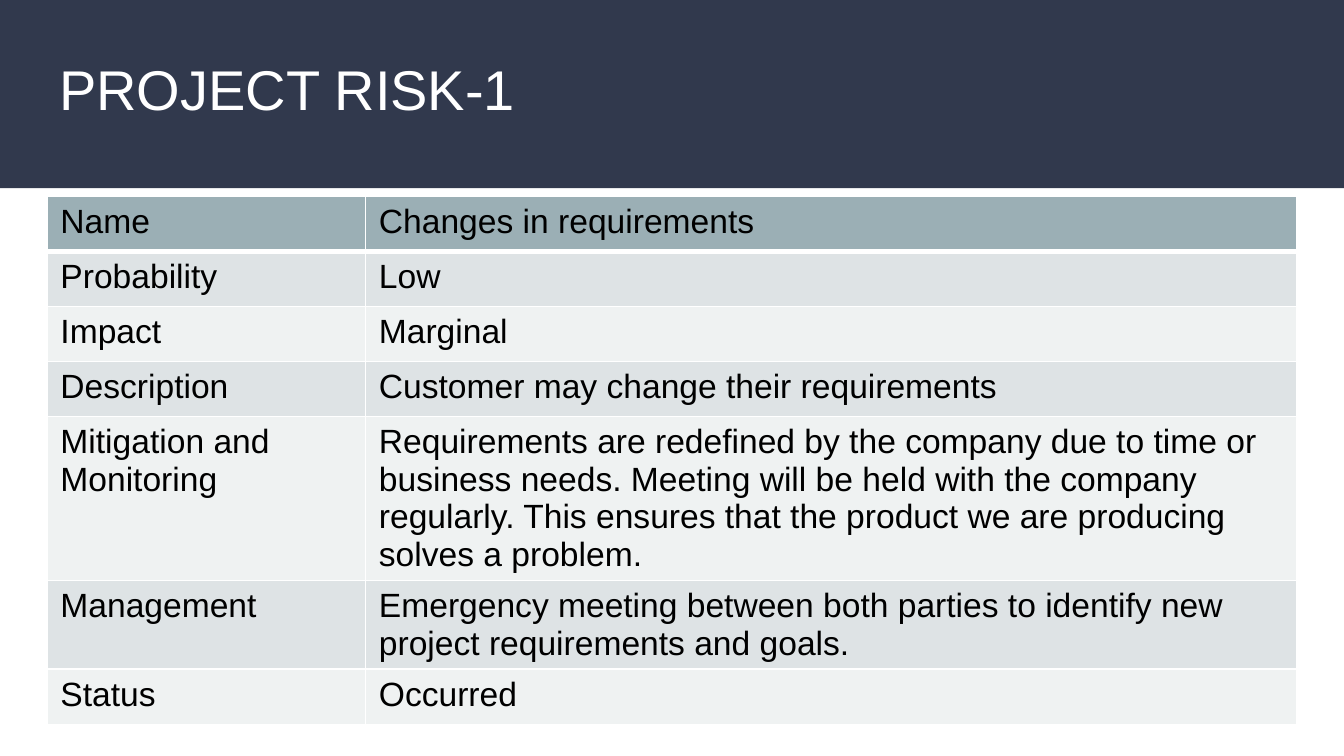
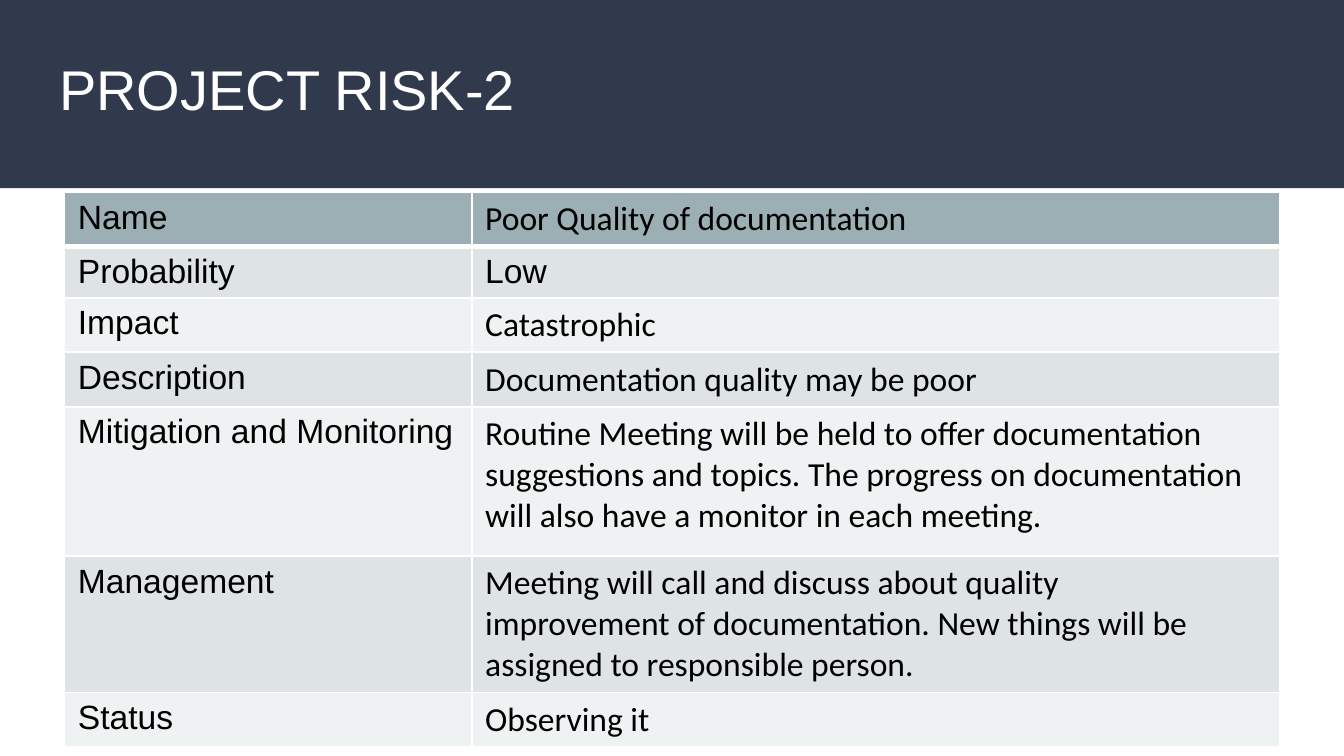
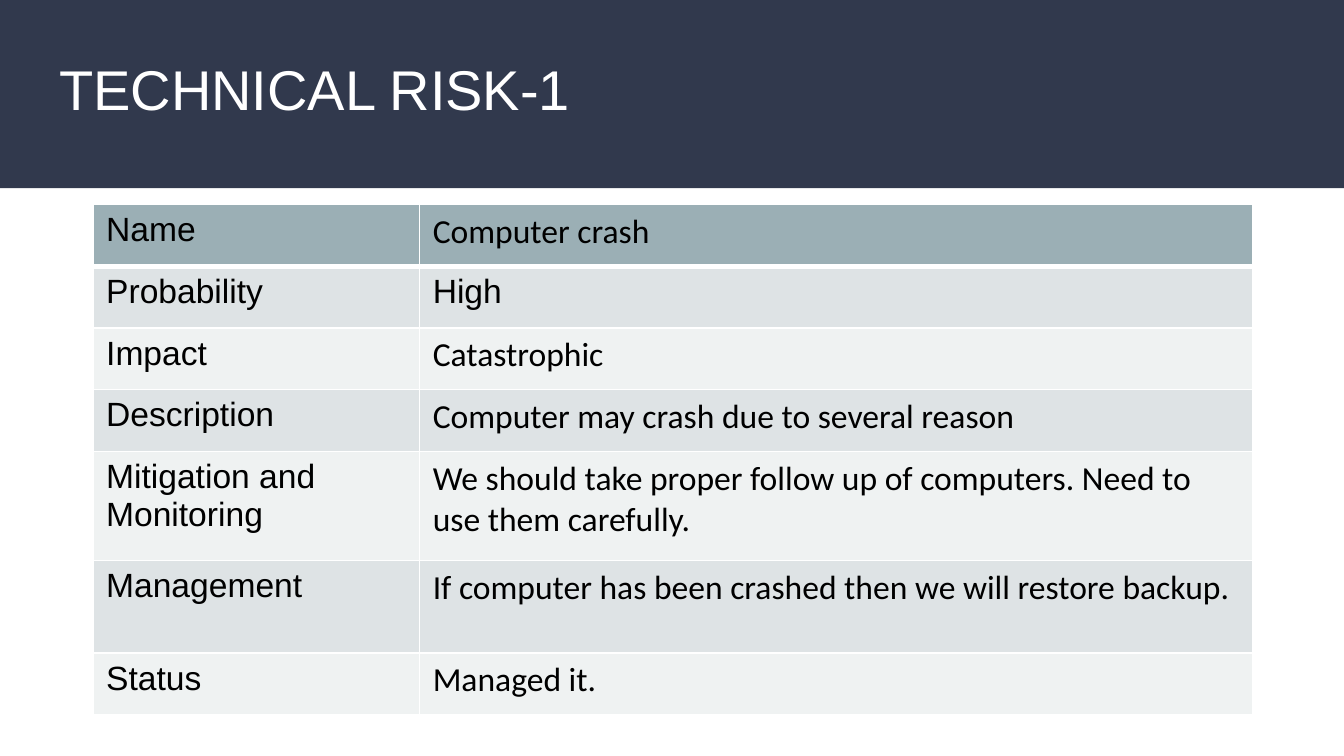
from dataclasses import dataclass

from lxml.etree import SubElement
from pptx import Presentation
from pptx.dml.color import RGBColor
from pptx.enum.shapes import MSO_SHAPE
from pptx.enum.text import MSO_ANCHOR, MSO_AUTO_SIZE, PP_ALIGN
from pptx.oxml.ns import qn
from pptx.util import Inches, Pt


@dataclass(frozen=True)
class Theme:
    band: str = "31394D"
    header: str = "9BAFB5"
    row_dark: str = "DEE3E5"
    row_light: str = "EFF2F2"
    white: str = "FFFFFF"
    text: str = "000000"
    label_font: str = "Arial"
    answer_font: str = "Calibri"
    title_size: int = 30
    body_size: int = 18
    rule: int = 1
    header_rule: int = 3


THEME = Theme()
SLIDE_WIDTH, SLIDE_HEIGHT = 10, 5.625
BAND_HEIGHT = 1.4
TITLE_BOX = (0.34, 0.34, 9.32, 0.7)
LABELS = ("Name", "Probability", "Impact", "Description",
          "Mitigation and Monitoring", "Management", "Status")


@dataclass(frozen=True)
class Risk:
    title: str
    corner: tuple
    columns: tuple
    row_height: float
    mitigation_height: float
    management_height: float
    answers: tuple
    arial_answers: tuple  # labels whose answer is set in the label font

    def heights(self):
        special = {"Mitigation and Monitoring": self.mitigation_height,
                   "Management": self.management_height}
        return [special.get(label, self.row_height) for label in LABELS]


RISKS = (
    Risk("PROJECT RISK-1", (0.35, 1.46), (2.37, 6.93), 0.41, 1.22, 0.66,
         ("Changes in requirements", "Low", "Marginal",
          "Customer may change their requirements",
          "Requirements are redefined by the company due to time or business "
          "needs. Meeting will be held with the company regularly. This ensures "
          "that the product we are producing\nsolves a problem.",
          "Emergency meeting between both parties to identify new project "
          "requirements and goals.",
          "Occurred"),
         LABELS),
    Risk("PROJECT RISK-2", (0.48, 1.43), (3.03, 6.01), 0.34, 1.11, 0.88,
         ("Poor Quality of documentation", "Low", "Catastrophic",
          "Documentation quality may be poor",
          "Routine Meeting will be held to offer documentation suggestions and "
          "topics. The progress on documentation will also have a monitor in "
          "each meeting.",
          "Meeting will call and discuss about quality\nimprovement of "
          "documentation. New things will be assigned to responsible person.",
          "Observing it"),
         ("Probability",)),
    Risk("TECHNICAL RISK-1", (0.69, 1.52), (2.43, 6.2), 0.46, 0.81, 0.69,
         ("Computer crash", "High", "Catastrophic",
          "Computer may crash due to several reason",
          "We should take proper follow up of computers. Need to use them "
          "carefully.",
          "If computer has been crashed then we will restore backup.",
          "Managed it."),
         ("Probability",)),
)


def rgb(colour):
    return RGBColor.from_string(colour)


def format_runs(frame, font, size, colour):
    for paragraph in frame.paragraphs:
        for run in paragraph.runs:
            run.font.name = font
            run.font.size = Pt(size)
            run.font.color.rgb = rgb(colour)


def share_band(slide):
    """Draw the title band and hand it to the layout, behind its title."""
    band = slide.shapes.add_shape(MSO_SHAPE.RECTANGLE, 0, 0,
                                  Inches(SLIDE_WIDTH), Inches(BAND_HEIGHT))
    band.shadow.inherit = False
    band.fill.solid()
    band.fill.fore_color.rgb = rgb(THEME.band)
    band.line.fill.background()
    band.element.nvSpPr.cNvPr.set("id", "20")
    slide.slide_layout.shapes.element.insert(2, band.element)


def place_layout_title(layout):
    title = layout.placeholders[0]
    title.left, title.top, title.width, title.height = map(Inches, TITLE_BOX)


def add_title(slide, text):
    frame = slide.shapes.title.text_frame
    frame.text = text
    frame.word_wrap = True
    frame.auto_size = MSO_AUTO_SIZE.NONE
    frame.vertical_anchor = MSO_ANCHOR.MIDDLE
    frame.margin_left = frame.margin_right = Inches(0.1)
    frame.margin_top = frame.margin_bottom = Inches(0.1)
    frame.paragraphs[0].alignment = PP_ALIGN.LEFT
    frame.paragraphs[0].line_spacing = 0.9
    format_runs(frame, THEME.label_font, THEME.title_size, THEME.white)


def add_borders(cell, is_header):
    """White rules; a body row leaves its top to the row above."""
    widths = {"a:lnL": THEME.rule, "a:lnR": THEME.rule}
    if is_header:
        widths["a:lnT"] = THEME.rule
    widths["a:lnB"] = THEME.header_rule if is_header else THEME.rule
    properties = cell._tc.get_or_add_tcPr()
    for side, width in widths.items():
        line = SubElement(properties, qn(side), w=str(Pt(width)))
        SubElement(SubElement(line, qn("a:solidFill")), qn("a:srgbClr"),
                   val=THEME.white)


def fill_cell(cell, text, font, row):
    cell.text_frame.text = text
    format_runs(cell.text_frame, font, THEME.body_size, THEME.text)
    cell.margin_left = cell.margin_right = Inches(0.1)
    cell.margin_top = cell.margin_bottom = Inches(0.05)
    add_borders(cell, row == 0)
    banding = THEME.row_dark if row % 2 else THEME.row_light
    cell.fill.solid()
    cell.fill.fore_color.rgb = rgb(banding if row else THEME.header)


def add_risk_table(slide, risk):
    heights = risk.heights()
    left, top = risk.corner
    table = slide.shapes.add_table(
        len(LABELS), len(risk.columns), Inches(left), Inches(top),
        Inches(sum(risk.columns)), Inches(sum(heights))).table
    for column, width in zip(table.columns, risk.columns):
        column.width = Inches(width)
    for row, (label, answer) in enumerate(zip(LABELS, risk.answers)):
        table.rows[row].height = Inches(heights[row])
        answer_font = (THEME.label_font if label in risk.arial_answers
                       else THEME.answer_font)
        fill_cell(table.cell(row, 0), label, THEME.label_font, row)
        fill_cell(table.cell(row, 1), answer, answer_font, row)


def main():
    deck = Presentation()
    deck.slide_width, deck.slide_height = Inches(SLIDE_WIDTH), Inches(SLIDE_HEIGHT)
    title_only = deck.slide_layouts[5]
    place_layout_title(title_only)

    # One slide per risk
    for risk in RISKS:
        slide = deck.slides.add_slide(title_only)
        add_title(slide, risk.title)
        add_risk_table(slide, risk)

    # The band is shared through the layout
    share_band(deck.slides[0])
    deck.save("out.pptx")


main()
